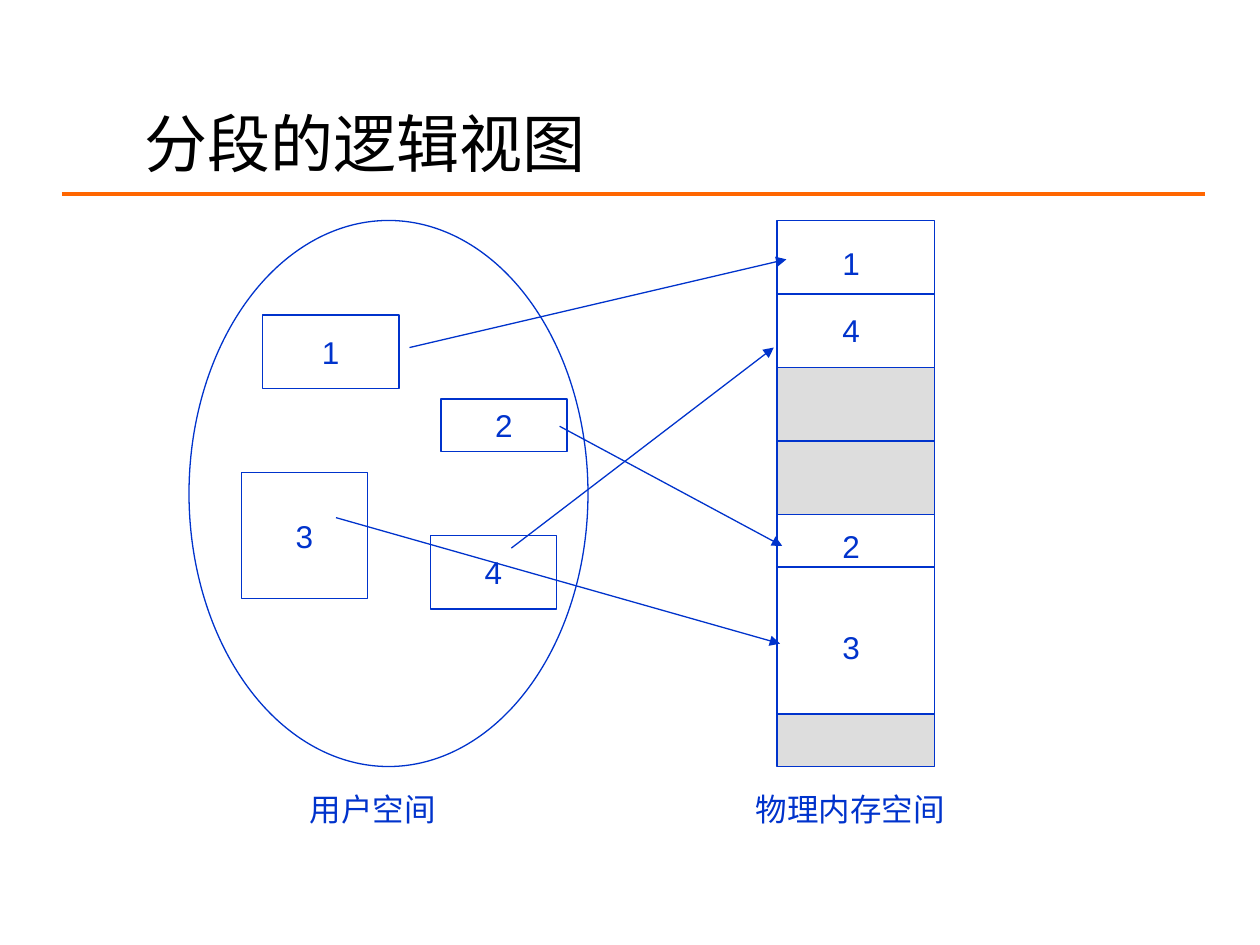
from dataclasses import dataclass

from lxml.etree import SubElement
from pptx import Presentation
from pptx.dml.color import RGBColor
from pptx.enum.shapes import MSO_CONNECTOR, MSO_SHAPE
from pptx.enum.text import MSO_ANCHOR, PP_ALIGN
from pptx.oxml.ns import qn
from pptx.util import Inches, Pt


@dataclass(frozen=True)
class Theme:
    ink: RGBColor = RGBColor(0x00, 0x33, 0xCC)
    heading: RGBColor = RGBColor(0x00, 0x00, 0x00)
    rule: RGBColor = RGBColor(0xFF, 0x66, 0x00)
    paper: RGBColor = RGBColor(0xFF, 0xFF, 0xFF)
    occupied: RGBColor = RGBColor(0xDD, 0xDD, 0xDD)
    font: str = "Arial"
    heading_size: int = 36
    body_size: int = 18
    outline: float = 0.75
    rule_width: float = 2.25


THEME = Theme()
CELLS_PER_INCH = 12
MEMORY_LEFT, MEMORY_WIDTH = 74, 15


def grid(*cells):
    return [Inches(cell / CELLS_PER_INCH) for cell in cells]


def write(frame, words, size=THEME.body_size, color=THEME.ink,
          align=PP_ALIGN.CENTER, anchor=MSO_ANCHOR.MIDDLE, wrap=False):
    frame.word_wrap = wrap
    frame.vertical_anchor = anchor
    paragraph = frame.paragraphs[0]
    paragraph.alignment = align
    run = paragraph.add_run()
    run.text = words
    run.font.name = THEME.font
    run.font.size = Pt(size)
    run.font.color.rgb = color


def add_label(slide, box, words, **style):
    label = slide.shapes.add_textbox(*grid(*box))
    write(label.text_frame, words, **style)


def add_block(slide, box, words=None, fill=THEME.paper, preset=MSO_SHAPE.RECTANGLE):
    block = slide.shapes.add_shape(preset, *grid(*box))
    block.shadow.inherit = False
    block.fill.solid()
    block.fill.fore_color.rgb = fill
    block.line.color.rgb = THEME.ink
    block.line.width = Pt(THEME.outline)
    if words:
        write(block.text_frame, words)
    return block


def add_line(slide, start, end, color=THEME.ink, width=THEME.outline, arrow=False):
    line = slide.shapes.add_connector(MSO_CONNECTOR.STRAIGHT, *grid(*start, *end))
    line.line.color.rgb = color
    line.line.width = Pt(width)
    if arrow:
        SubElement(line.line._get_or_add_ln(), qn("a:tailEnd"), type="triangle")
    SubElement(line._element.spPr, qn("a:effectLst"))
    return line


def add_divider(slide, row, halved=None):
    divider = add_line(slide, (MEMORY_LEFT, row), (MEMORY_LEFT + MEMORY_WIDTH, row))
    if halved is not None:
        divider.begin_connect(halved, 1)
        divider.end_connect(halved, 3)


def add_heading(slide):
    add_line(slide, (5.9, 18.5), (114.8, 18.5), THEME.rule, THEME.rule_width)
    add_label(slide, (12.6, 9.36, 88.7, 3.24), "分段的逻辑视图",
              size=THEME.heading_size, color=THEME.heading,
              align=PP_ALIGN.LEFT, anchor=MSO_ANCHOR.TOP, wrap=True)


def add_user_space(slide):
    add_block(slide, (18, 21, 38, 52), preset=MSO_SHAPE.OVAL)
    segments = {
        "1": (25, 30, 13, 7),
        "3": (23, 45, 12, 12),
        "2": (42, 38, 12, 5),
        "4": (41, 51, 12, 7),
    }
    for number, box in segments.items():
        add_block(slide, box, number)
    add_label(slide, (28, 74.6, 15, 4.8), "用户空间 ")


def add_physical_memory(slide):
    top = 21
    regions = [
        (14, THEME.paper, True),
        (14, THEME.occupied, True),
        (19, THEME.paper, False),
        (5, THEME.occupied, False),
    ]
    for height, fill, halved in regions:
        region = add_block(slide, (MEMORY_LEFT, top, MEMORY_WIDTH, height), fill=fill)
        if halved:
            add_divider(slide, top + height / 2, region)
        top += height
    add_divider(slide, 54)
    for number, row in {"1": 22.6, "4": 29, "2": 49.6, "3": 59.2}.items():
        add_label(slide, (79, row, 4.1, 4.8), number)
    add_label(slide, (70.8, 74.6, 20.4, 4.8), "物理内存空间")


def add_mappings(slide):
    mappings = [
        ((39, 33.1), (74.9, 24.7)),
        ((53.3, 40.6), (74.5, 52)),
        ((32, 49.3), (74.3, 61.3)),
        ((48.7, 52.2), (73.7, 33.1)),
    ]
    for segment, region in mappings:
        add_line(slide, segment, region, arrow=True)


def main():
    deck = Presentation()
    deck.slide_width, deck.slide_height = grid(120, 90)
    slide = deck.slides.add_slide(deck.slide_layouts[6])
    add_heading(slide)
    add_user_space(slide)
    add_physical_memory(slide)
    add_mappings(slide)
    deck.save("out.pptx")


if __name__ == "__main__":
    main()
